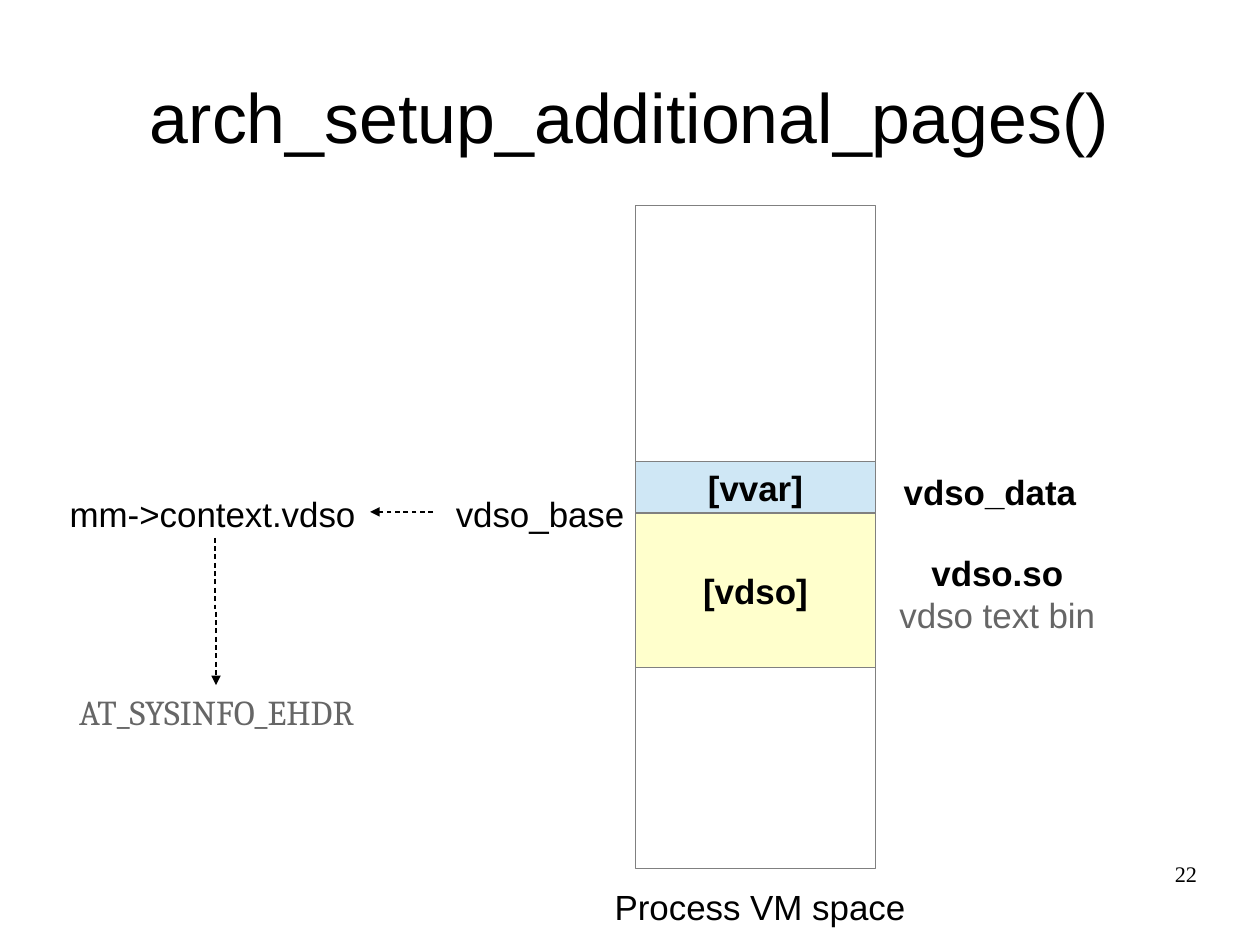
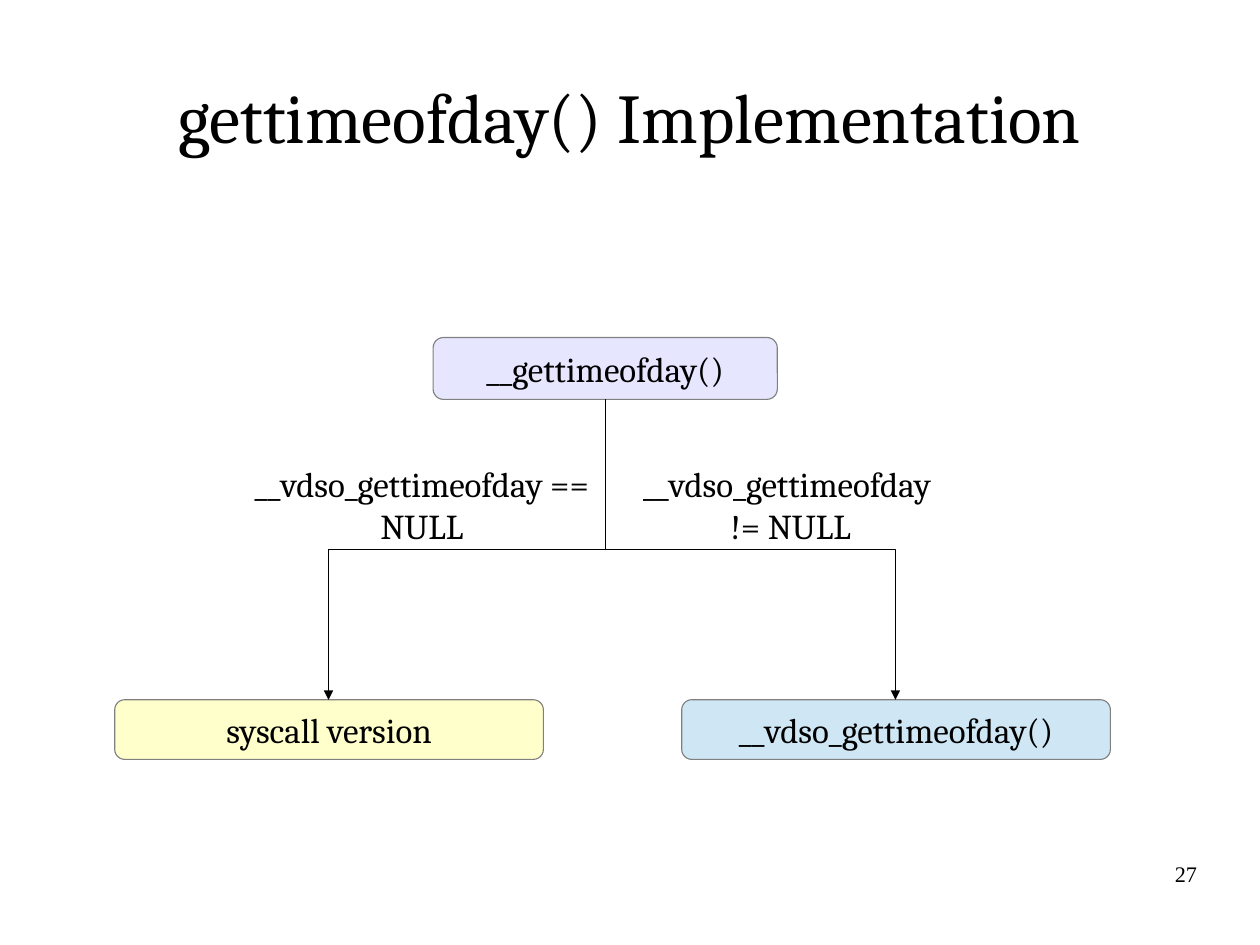
from dataclasses import dataclass

from lxml.etree import SubElement
from pptx import Presentation
from pptx.dml.color import RGBColor
from pptx.enum.shapes import MSO_CONNECTOR, MSO_SHAPE
from pptx.enum.text import MSO_ANCHOR, MSO_AUTO_SIZE, PP_ALIGN
from pptx.oxml.ns import qn
from pptx.presentation import Presentation as Deck
from pptx.shapes.connector import Connector
from pptx.slide import Slide
from pptx.text.text import TextFrame
from pptx.util import Pt

PX = 9000  # EMU per px, at 40 px to the centimetre


@dataclass(frozen=True)
class Theme:
    black: str = "000000"
    grey: str = "666666"
    outline: str = "808080"
    yellow: str = "FFFFCC"
    blue: str = "CFE7F5"
    lilac: str = "E6E6FF"
    sans: str = "Arial"
    serif: str = "Cambria"
    number_font: str = "Times New Roman"
    title_size: int = 44
    text_size: int = 22
    number_size: int = 14
    thin: float = 0.71
    thick: float = 1.5


T = Theme()


@dataclass(frozen=True)
class Area:
    x: int
    y: int
    w: int
    h: int

    def emu(self) -> tuple[int, int, int, int]:
        return self.x * PX, self.y * PX, self.w * PX, self.h * PX


TITLE = Area(56, 33, 1008, 140)
NUMBER = Area(803, 765, 261, 58)


@dataclass(frozen=True)
class Line:
    text: str
    color: str = T.black
    bold: bool = False


@dataclass(frozen=True)
class Label:
    area: Area
    lines: tuple[Line, ...]
    font: str
    align: PP_ALIGN = PP_ALIGN.CENTER


@dataclass(frozen=True)
class Box:
    area: Area
    fill: str | None = None
    line: Line | None = None
    font: str = T.sans
    shape: MSO_SHAPE = MSO_SHAPE.RECTANGLE


@dataclass(frozen=True)
class Arrow:
    x1: int
    y1: int
    x2: int
    y2: int
    width: float = T.thin
    dashed: bool = False


def write(tf: TextFrame, lines: tuple[Line, ...], font: str, size: int,
          align: PP_ALIGN = PP_ALIGN.CENTER) -> None:
    tf.text = "\n".join(line.text for line in lines)
    for p, line in zip(tf.paragraphs, lines):
        p.alignment = align
        for r in p.runs:
            r.font.name = font
            r.font.size = Pt(size)
            r.font.bold = line.bold
            r.font.color.rgb = RGBColor.from_string(line.color)


def clear_margins(tf: TextFrame) -> None:
    tf.margin_left = tf.margin_right = tf.margin_top = tf.margin_bottom = 0


def add_label(s: Slide, label: Label, size: int = T.text_size) -> TextFrame:
    tf = s.shapes.add_textbox(*label.area.emu()).text_frame
    tf.word_wrap = True
    write(tf, label.lines, label.font, size, label.align)
    return tf


def add_box(s: Slide, box: Box) -> None:
    sp = s.shapes.add_shape(box.shape, *box.area.emu())
    sp.shadow.inherit = False
    if box.fill:
        sp.fill.solid()
        sp.fill.fore_color.rgb = RGBColor.from_string(box.fill)
    else:
        sp.fill.background()
    sp.line.color.rgb = RGBColor.from_string(T.outline)
    sp.line.width = Pt(T.thin)
    if box.line:
        tf = sp.text_frame
        tf.word_wrap = False
        tf.vertical_anchor = MSO_ANCHOR.MIDDLE
        write(tf, (box.line,), box.font, T.text_size)


def add_elbow(s: Slide, a: Arrow) -> Connector:
    """Route down, across and down: a turned elbow around the same centre."""
    cx, cy = (a.x1 + a.x2) / 2, (a.y1 + a.y2) / 2
    leftward = a.x2 < a.x1
    half_w = (a.y2 - a.y1) / 2 * (1 if leftward else -1)
    half_h = abs(a.x2 - a.x1) / 2
    corners = (cx - half_w, cy - half_h, cx + half_w, cy + half_h)
    c = s.shapes.add_connector(MSO_CONNECTOR.ELBOW, *(round(v * PX) for v in corners))
    degrees = 90 if leftward else 270
    c._element.spPr.find(qn("a:xfrm")).set("rot", str(degrees * 60000))
    return c


def add_arrow(s: Slide, a: Arrow) -> None:
    if a.y1 == a.y2:
        c = s.shapes.add_connector(MSO_CONNECTOR.STRAIGHT, a.x1 * PX, a.y1 * PX,
                                   a.x2 * PX, a.y2 * PX)
    else:
        c = add_elbow(s, a)
    c.line.color.rgb = RGBColor.from_string(T.black)
    c.line.width = Pt(a.width)
    ln = c.line._get_or_add_ln()
    if a.dashed:
        dashes = SubElement(ln, qn("a:custDash"))
        SubElement(dashes, qn("a:ds"), d="200000", sp="150000")
    SubElement(ln, qn("a:tailEnd"), type="triangle")
    SubElement(c._element.spPr, qn("a:effectLst"))


def add_slide(prs: Deck, title: str, font: str, number: int) -> Slide:
    s = prs.slides.add_slide(prs.slide_layouts.get_by_name("Title Only"))
    sp = s.shapes.title
    sp.left, sp.top, sp.width, sp.height = TITLE.emu()
    tf = sp.text_frame
    tf.auto_size = MSO_AUTO_SIZE.NONE
    tf.vertical_anchor = MSO_ANCHOR.MIDDLE
    clear_margins(tf)
    write(tf, (Line(title),), font, T.title_size)
    label = Label(NUMBER, (Line(str(number)),), T.number_font, PP_ALIGN.RIGHT)
    clear_margins(add_label(s, label, T.number_size))
    return s


def draw(s: Slide, boxes: list[Box], labels: list[Label], arrows: list[Arrow]) -> None:
    for box in boxes:
        add_box(s, box)
    for arrow in arrows:
        add_arrow(s, arrow)
    for label in labels:
        add_label(s, label)


def build_memory_map(prs: Deck) -> None:
    s = add_slide(prs, "arch_setup_additional_pages()", T.sans, 22)
    x, w = 565, 213
    boxes = [
        Box(Area(x, 183, w, 589)),
        Box(Area(x, 456, w, 137), T.yellow, Line("[vdso]", bold=True)),
        Box(Area(x, 410, w, 46), T.blue, Line("[vvar]", bold=True)),
    ]
    labels = [
        Label(Area(52, 433, 276, 45), (Line("mm->context.vdso"),), T.sans, PP_ALIGN.LEFT),
        Label(Area(385, 433, 180, 45), (Line("vdso_base"),), T.sans, PP_ALIGN.RIGHT),
        Label(Area(782, 413, 196, 45), (Line("vdso_data", bold=True),), T.sans),
        Label(Area(37, 609, 311, 53), (Line("AT_SYSINFO_EHDR", T.grey),), T.serif),
        Label(Area(758, 485, 257, 79),
              (Line("vdso.so", bold=True), Line("vdso text bin", T.grey)), T.sans),
        Label(Area(524, 782, 303, 45), (Line("Process VM space"),), T.sans),
    ]
    arrows = [
        Arrow(191, 478, 192, 609, T.thick, dashed=True),
        Arrow(385, 455, 329, 455, T.thick, dashed=True),
    ]
    draw(s, boxes, labels, arrows)


def build_call_tree(prs: Deck) -> None:
    s = add_slide(prs, "gettimeofday() Implementation", T.serif, 27)
    nodes = [
        (Area(385, 300, 306, 55), T.lilac, "__gettimeofday()"),
        (Area(606, 622, 381, 53), T.blue, "__vdso_gettimeofday()"),
        (Area(102, 622, 381, 53), T.yellow, "syscall version"),
    ]
    boxes = [Box(area, fill, Line(text), T.serif, MSO_SHAPE.ROUNDED_RECTANGLE)
             for area, fill, text in nodes]
    labels = [
        Label(Area(209, 406, 332, 94), (Line("__vdso_gettimeofday == NULL"),), T.serif),
        Label(Area(537, 406, 332, 94),
              (Line("__vdso_gettimeofday "), Line("!= NULL")), T.serif),
    ]
    root, *leaves = (box.area for box in boxes)
    arrows = [Arrow(root.x + root.w // 2, root.y + root.h, leaf.x + leaf.w // 2, leaf.y)
              for leaf in leaves]
    draw(s, boxes, labels, arrows)


def main() -> None:
    prs = Presentation()
    prs.slide_width, prs.slide_height = 1120 * PX, 840 * PX
    build_memory_map(prs)
    build_call_tree(prs)
    prs.save("out.pptx")


if __name__ == "__main__":
    main()
